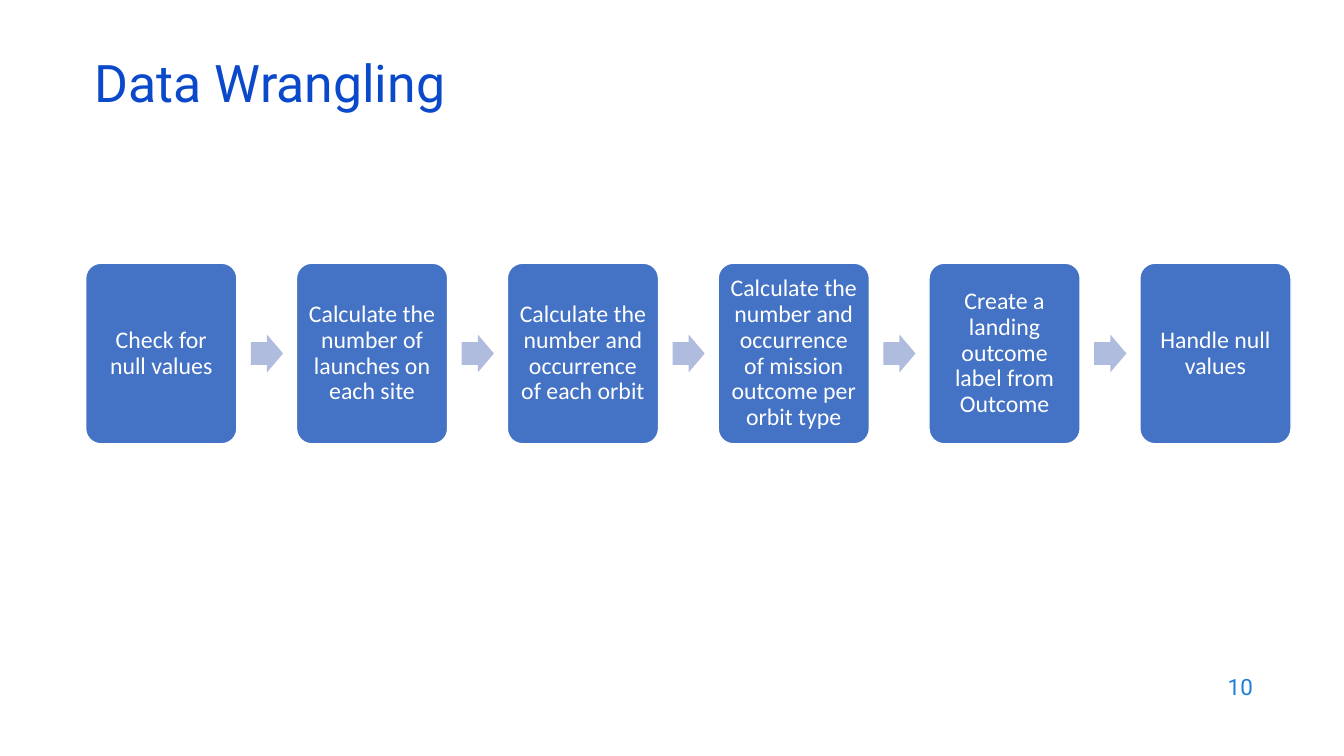
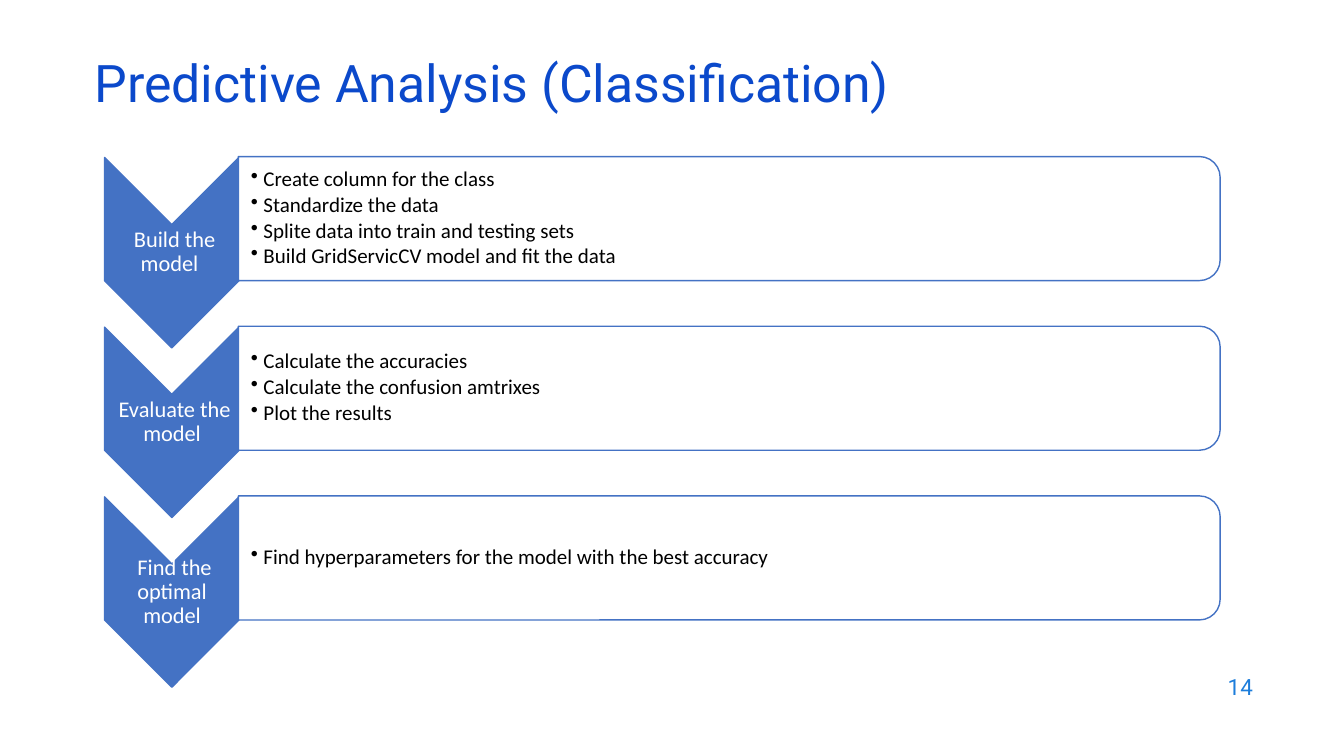
"""Build two process slides: data wrangling and predictive analysis."""
from pptx import Presentation, util as u
from pptx.dml.color import RGBColor
from pptx.enum import shapes, text
from lxml import etree

Pt = u.Pt
KIND = shapes.MSO_SHAPE
SIDE = text.PP_ALIGN
HUE = {"title": "0B49CB", "page": "1C7DDB", "main": "4472C4",
       "arrow": "B0BCDE", "white": "FFFFFF", "black": "000000"}
STEPS = [
    "Check for null values",
    "Calculate the number of launches on each site",
    "Calculate the number and occurrence of each orbit",
    "Calculate the number and occurrence of mission outcome per orbit type",
    "Create a landing outcome label from Outcome",
    "Handle null values",
]
STAGES = [
    (" Build the model ", ["Create column for the class", "Standardize the data",
                           "Splite data into train and testing sets",
                           "Build GridServicCV model and fit the data"]),
    (" Evaluate the model", ["Calculate the accuracies",
                             "Calculate the confusion amtrixes",
                             "Plot the results"]),
    (" Find the optimal model",
     ["Find hyperparameters for the model with the best accuracy"]),
]


def draw(slide, kind, box, fill, line=None):
    """Add a preset shape with a plain fill and an optional outline."""
    shape = slide.shapes.add_shape(kind, *map(Pt, box))
    shape.shadow.inherit = False
    shape.fill.solid()
    shape.fill.fore_color.rgb = RGBColor.from_string(HUE[fill])
    if line:
        shape.line.color.rgb = RGBColor.from_string(HUE[line])
        shape.line.width = Pt(1)
    else:
        shape.line.fill.background()
    return shape


def write(shape, lines, size, hue, font="Calibri", side=SIDE.CENTER,
          lead=0.9, pad=(1, 1), dots=False):
    """Fill a shape with styled lines; pad is the left inset, then the others."""
    frame = shape.text_frame
    frame.word_wrap = True
    frame.auto_size = text.MSO_AUTO_SIZE.NONE
    frame.vertical_anchor = text.MSO_ANCHOR.MIDDLE
    frame.margin_left = Pt(pad[0])
    frame.margin_top = frame.margin_right = frame.margin_bottom = Pt(pad[1])
    frame.text = "\n".join(lines)
    for para in frame.paragraphs:
        para.alignment = side
        para.line_spacing = lead
        if dots:
            para.space_after = Pt(2.25)
            props = para._p.get_or_add_pPr()
            props.set("marL", str(Pt(9)))
            props.set("indent", str(Pt(-9)))
            tag = "{http://schemas.openxmlformats.org/drawingml/2006/main}buChar"
            etree.SubElement(props, tag).set("char", "•")
        for run in para.runs:
            run.font.name = font
            run.font.size = Pt(size)
            run.font.color.rgb = RGBColor.from_string(HUE[hue])


deck = Presentation()
deck.slide_width, deck.slide_height = Pt(960), Pt(540)
pages = []
for name, page in (("Data Wrangling", "10"),
                   ("Predictive Analysis (Classification)", "14")):
    slide = deck.slides.add_slide(deck.slide_layouts[5])
    title = slide.shapes.title
    title.left, title.top, title.width, title.height = map(Pt, (60.5, 42.5, 828, 43))
    write(title, [name], 37, "title", "Roboto", SIDE.LEFT, 0.7, (7.2, 3.6))
    foot = slide.shapes.add_textbox(*map(Pt, (686, 474.5, 216, 32)))
    write(foot, [page], 16, "page", "Roboto", SIDE.RIGHT, 1, (7.2, 7.2))
    pages.append(slide)
flow, model = pages

for i, step in enumerate(STEPS):
    left = 61.2 + 150.6 * i
    card = draw(flow, KIND.ROUNDED_RECTANGLE, (left, 188, 108, 129), "main", "white")
    card.adjustments[0] = 0.1
    write(card, [step], 17, "white", pad=(5, 5))
    if i < len(STEPS) - 1:
        arrow = draw(flow, KIND.RIGHT_ARROW, (left + 118, 239, 23, 27), "arrow")
        arrow.adjustments[0] = 0.6

for i, (stage, tasks) in enumerate(STAGES):
    drop = 121.2 * i
    mark = draw(model, KIND.CHEVRON, (54.7, 132.5 + drop, 136, 96), "main", "main")
    mark.rotation = 90
    label = model.shapes.add_textbox(*map(Pt, (74.9, 160 + drop, 96, 41)))
    write(label, [stage], 16, "white")
    card = draw(model, KIND.ROUND_2_SAME_RECTANGLE,
                (476.6, -194.5 + drop, 88.6, 701.3), "white", "main")
    card.rotation = 90
    body = model.shapes.add_textbox(*map(Pt, (170.6, 116 + drop, 697, 80)))
    write(body, tasks, 15, "black", side=SIDE.LEFT, pad=(8.6, 1), dots=True)

deck.save("out.pptx")
